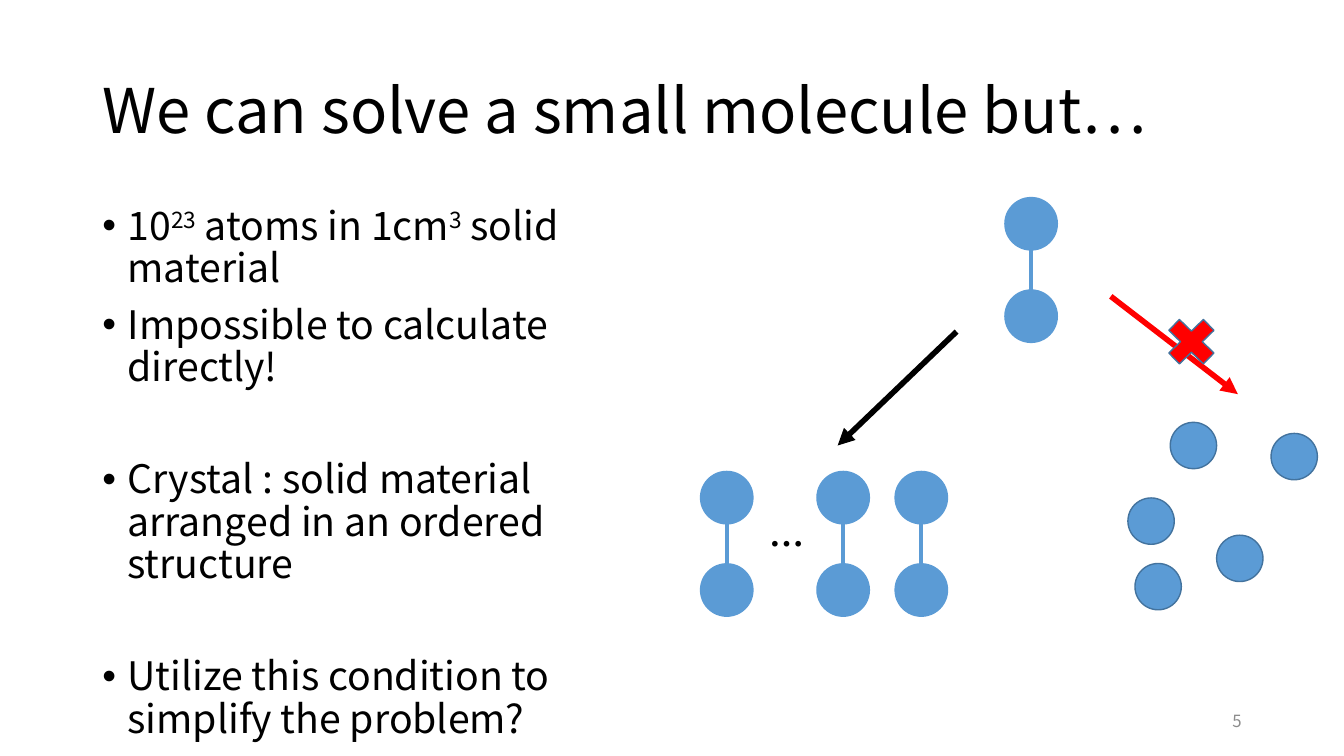
from dataclasses import dataclass

from lxml.etree import SubElement
from pptx import Presentation
from pptx.dml.color import RGBColor
from pptx.enum.shapes import MSO_CONNECTOR, MSO_SHAPE
from pptx.enum.text import MSO_ANCHOR, PP_ALIGN
from pptx.oxml.ns import qn
from pptx.util import Inches, Pt

COLUMNS, ROWS = 80, 45


@dataclass(frozen=True)
class Theme:
    font: str = "Noto Sans CJK SC"
    ink: str = "000000"
    muted: str = "8C8C8C"
    atom: str = "5B9BD5"
    outline: str = "43739E"
    forbidden: str = "FF0000"
    title_size: float = 44
    body_size: float = 28
    dots_size: float = 25
    number_size: float = 12


def apply_format(target, values):
    for name, value in values.items():
        setattr(target, name, value)


class SlideBuilder:
    """Places elements on a grid of COLUMNS by ROWS cells."""

    def __init__(self, deck, theme):
        self.theme = theme
        self.column = deck.slide_width / COLUMNS
        self.row = deck.slide_height / ROWS
        self.slide = deck.slides.add_slide(deck.slide_layouts[6])

    def place(self, x, y):
        return round(x * self.column), round(y * self.row)

    def text(self, x, y, width, height, paragraphs, size, color=None,
             anchor=MSO_ANCHOR.TOP, bullet=False, bold=False, **paragraph_format):
        """Each paragraph is (space before, [(words, is superscript), ...])."""
        box = self.slide.shapes.add_textbox(*self.place(x, y), *self.place(width, height))
        frame = box.text_frame
        apply_format(frame, {"word_wrap": True, "vertical_anchor": anchor})
        for index, (space, pieces) in enumerate(paragraphs):
            paragraph = frame.paragraphs[0] if index == 0 else frame.add_paragraph()
            apply_format(paragraph, {"space_before": Pt(space), **paragraph_format})
            if bullet:
                self.add_bullet(paragraph)
            for words, is_superscript in pieces:
                run = paragraph.add_run()
                run.text = words
                apply_format(run.font, {"name": self.theme.font, "size": Pt(size), "bold": bold})
                run.font.color.rgb = RGBColor.from_string(color or self.theme.ink)
                if is_superscript:
                    run._r.get_or_add_rPr().set("baseline", "30000")

    def add_bullet(self, paragraph):
        properties = paragraph._p.get_or_add_pPr()
        indent = Inches(0.25)
        properties.set("marL", str(indent))
        properties.set("indent", str(-indent))
        SubElement(properties, qn("a:buFont")).set("typeface", "Arial")
        SubElement(properties, qn("a:buChar")).set("char", "•")

    def shape(self, kind, x, y, width, height, fill, line, parent=None):
        shapes = (parent or self.slide).shapes
        figure = shapes.add_shape(kind, *self.place(x, y), *self.place(width, height))
        figure.shadow.inherit = False
        figure.fill.solid()
        figure.fill.fore_color.rgb = RGBColor.from_string(fill)
        figure.line.color.rgb = RGBColor.from_string(line)
        figure.line.width = Pt(1)
        return figure

    def line(self, start, end, color, width, arrow=False, parent=None):
        shapes = (parent or self.slide).shapes
        connector = shapes.add_connector(
            MSO_CONNECTOR.STRAIGHT, *self.place(*start), *self.place(*end))
        connector.line.color.rgb = RGBColor.from_string(color)
        connector.line.width = Pt(width)
        if arrow:
            SubElement(connector.line._get_or_add_ln(), qn("a:tailEnd")).set("type", "triangle")
        SubElement(connector._element.spPr, qn("a:effectLst"))
        return connector

    def molecule(self, x, y, diameter=3.12, pitch=5.5):
        """Two equal atoms, one above the other, joined by a bond."""
        group = self.slide.shapes.add_group_shape()
        color = self.theme.atom
        for top in (y, y + pitch):
            self.shape(MSO_SHAPE.OVAL, x, top, diameter, diameter, color, color, group)
        middle = x + diameter / 2
        self.line((middle, y + diameter), (middle, y + pitch), color, 3, parent=group)

    def free_atom(self, x, y, diameter=2.76):
        self.shape(MSO_SHAPE.OVAL, x, y, diameter, diameter,
                   self.theme.atom, self.theme.outline)


def main():
    deck = Presentation()
    deck.slide_width, deck.slide_height = Inches(13.33), Inches(7.5)
    theme = Theme()
    page = SlideBuilder(deck, theme)

    page.text(5.5, 2.4, 69, 8.7, [(0, [("We can solve a small molecule but…", False)])],
              theme.title_size, anchor=MSO_ANCHOR.MIDDLE, line_spacing=0.9)

    near, far = 10, 50
    points = [
        (0, [("10", False), ("23", True), (" atoms in 1cm", False), ("3", True),
             (" solid material", False)]),
        (near, [("Impossible to calculate directly!", False)]),
        (far, [("Crystal : solid material arranged in an ordered structure", False)]),
        (far, [("Utilize this condition to simplify the problem?", False)]),
    ]
    page.text(5.5, 12, 35.16, 28.56, points, theme.body_size, bullet=True, line_spacing=0.9)
    page.text(56.5, 41.7, 18, 2.4, [(0, [("5", False)])], theme.number_size, theme.muted,
              MSO_ANCHOR.MIDDLE, alignment=PP_ALIGN.RIGHT)

    page.molecule(59.82, 11.76)
    crystal_top = 28.06
    for left in (41.7, 48.63, 53.28):
        page.molecule(left, crystal_top)
    page.text(45.24, 30.78, 2.64, 3.12, [(0, [("…", False)])], theme.dots_size, bold=True)

    for left, top in ((67.14, 29.64), (69.66, 25.14), (67.56, 33.54),
                      (72.42, 31.86), (75.66, 25.8)):
        page.free_atom(left, top)

    page.line((56.94, 19.74), (49.86, 26.52), theme.ink, 4, arrow=True)
    page.line((66.12, 17.64), (73.68, 23.46), theme.forbidden, 4, arrow=True)
    page.shape(MSO_SHAPE.MATH_MULTIPLY, 68.94, 18.42, 3.96, 3.84,
               theme.forbidden, theme.outline)

    deck.save("out.pptx")


if __name__ == "__main__":
    main()
